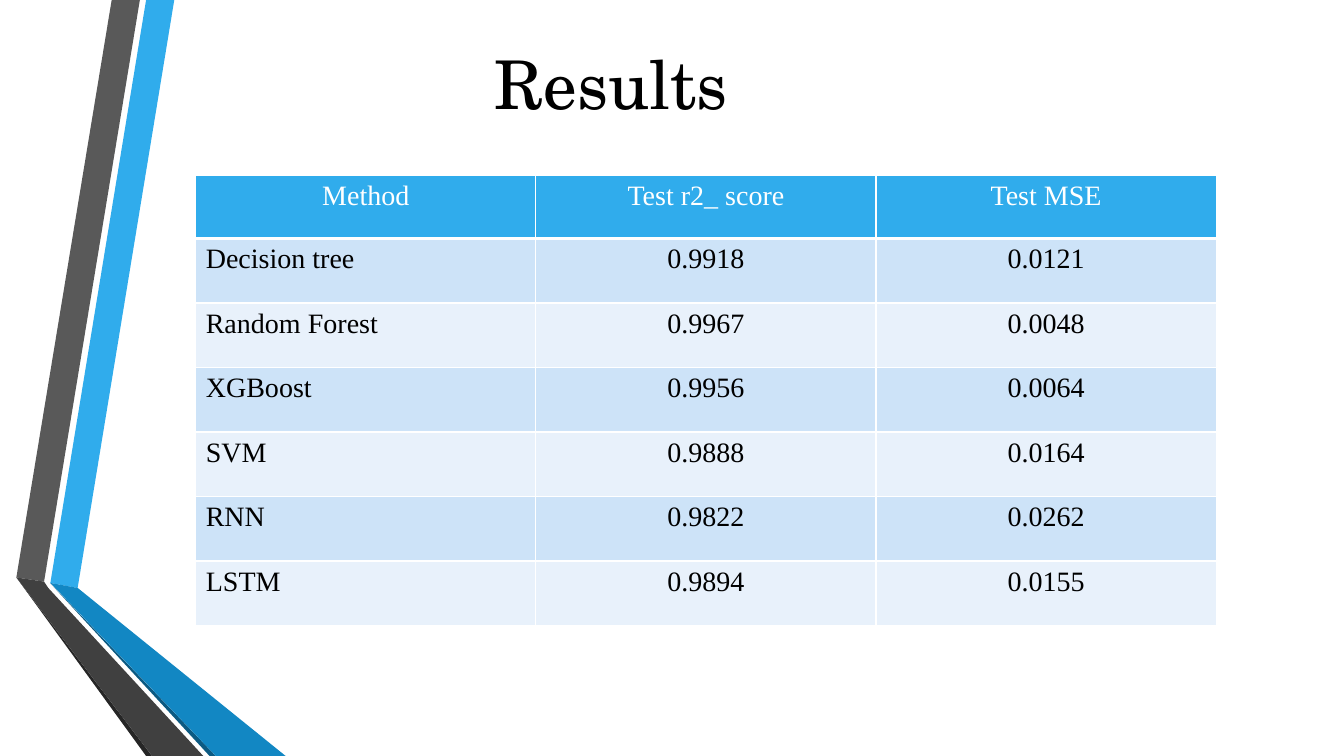
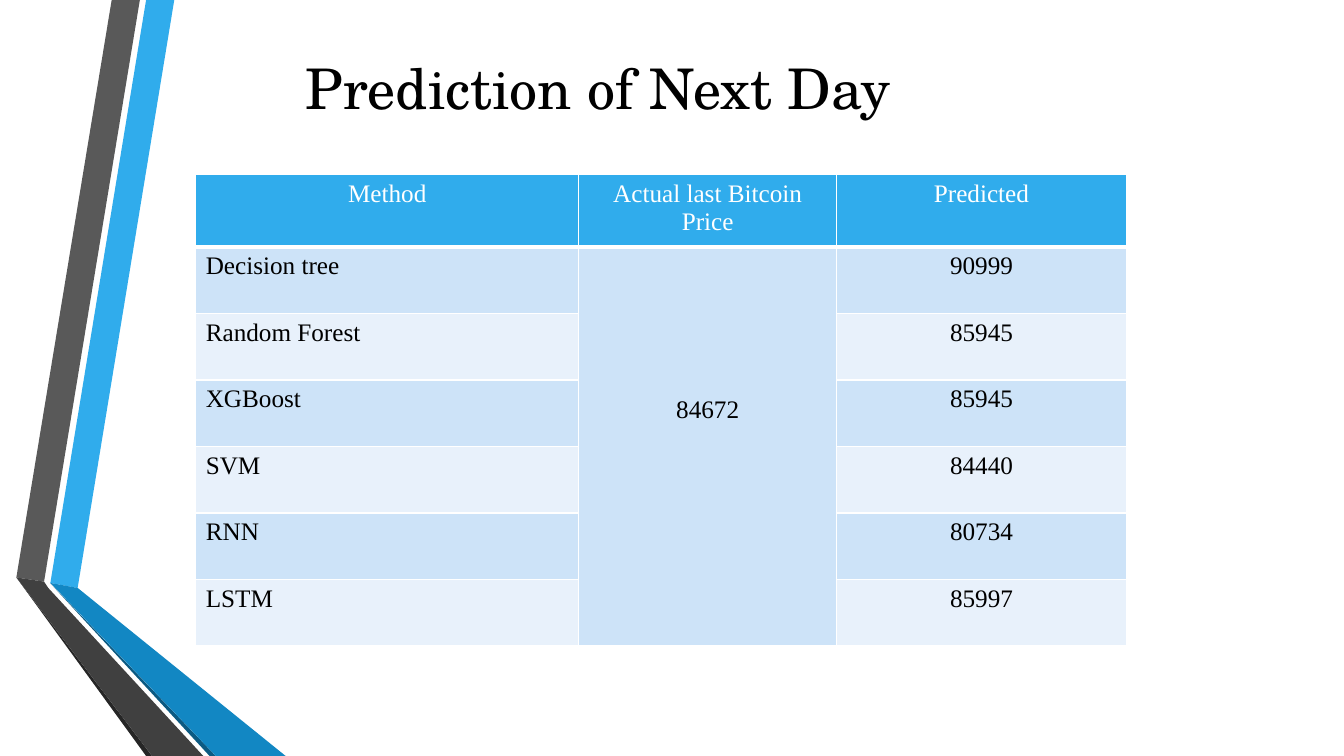
from pptx import Presentation
from pptx.dml.color import RGBColor
from pptx.enum.text import MSO_ANCHOR, MSO_AUTO_SIZE, PP_ALIGN
from pptx.oxml import parse_xml
from pptx.oxml.ns import nsdecls, qn
from pptx.util import Emu, Pt

COLS, ROWS, UNIT = 160, 90, 76200
TITLE_ONLY = 5
LEFT, CENTER = PP_ALIGN.LEFT, PP_ALIGN.CENTER
MIDDLE = MSO_ANCHOR.MIDDLE
NO_AUTOFIT = MSO_AUTO_SIZE.NONE
BANDS = [
    ("30ACEC", [(6, 69.4), (9.25, 70), (20.75, 0), (17.4, 0)]),
    ("595959", [(16.65, 0), (13.3, 0), (1.95, 68.75), (5.25, 69.25)]),
    ("262626", [(1.95, 68.75), (17.4, 90), (18.1, 90)]),
    ("0C5A82", [(6, 69.45), (24.95, 90), (25.7, 90)]),
    ("1287C3", [(6, 69.4), (25.7, 90), (34, 90), (9.25, 70)]),
    ("404040", [(24.2, 90), (5.75, 70), (5.25, 69.25), (1.95, 68.75), (18.1, 90)]),
]
METHODS = ["Decision tree", "Random Forest", "XGBoost", "SVM", "RNN", "LSTM"]


def rgb(color):
    return RGBColor.from_string(color)


def grid(*lengths):
    return [Emu(round(length * UNIT)) for length in lengths]


class Deck:
    title_font, table_font = "TeX Gyre Schola", "Times New Roman"
    ink, paper, accent = "000000", "FFFFFF", "30ACEC"
    stripes = "CDE3F8", "E8F1FB"

    def __init__(self):
        self.prs = Presentation()
        self.prs.slide_width, self.prs.slide_height = grid(COLS, ROWS)
        self.slide = None

    def add_slide(self):
        self.slide = self.prs.slides.add_slide(self.prs.slide_layouts[TITLE_ONLY])

    def add_master_bands(self):
        group = self.slide.shapes.add_group_shape()
        for color, points in BANDS:
            start, *rest = [grid(*point) for point in points]
            builder = group.shapes.build_freeform(*start)
            builder.add_line_segments(rest, close=True)
            sp = builder.convert_to_shape()
            sp.shadow.inherit = False
            sp.fill.solid()
            sp.fill.fore_color.rgb = rgb(color)
            sp.line.fill.background()
        for number, props in enumerate(group.element.iter(qn("p:cNvPr")), 100):
            props.set("id", str(number))
        self.prs.slide_master.shapes.element.insert(2, group.element)

    def style(self, p, font, size, color, align):
        p.alignment = align
        p.font.name, p.font.size = font, Pt(size)
        p.font.color.rgb = rgb(color)

    def add_title(self, text, x, y, size):
        sp = self.slide.shapes.title
        sp.left, sp.top, sp.width, sp.height = grid(x, y, 126, 10.8)
        tf = sp.text_frame
        tf.text = text
        tf.auto_size, tf.vertical_anchor = NO_AUTOFIT, MIDDLE
        self.style(tf.paragraphs[0], self.title_font, size, self.ink, CENTER)

    def add_borders(self, cell, bottom):
        tc_pr = cell._tc.get_or_add_tcPr()
        for i, (side, width) in enumerate(zip("LRTB", (1, 1, 1, bottom))):
            tc_pr.insert(i, parse_xml(
                f'<a:ln{side} {nsdecls("a")} w="{Pt(width)}"><a:solidFill>'
                f'<a:srgbClr val="{self.paper}"/></a:solidFill></a:ln{side}>'))

    def add_table(self, rows, x, y, widths, header_height, row_height, size):
        heights = [header_height] + [row_height] * (len(rows) - 1)
        box = grid(x, y, sum(widths), sum(heights))
        table = self.slide.shapes.add_table(len(rows), len(widths), *box).table
        for column, width in zip(table.columns, grid(*widths)):
            column.width = width
        for row, height in zip(table.rows, grid(*heights)):
            row.height = height
        for r, values in enumerate(rows):
            header = r == 0
            for c, value in enumerate(values):
                cell = table.cell(r, c)
                cell.text = value
                self.style(cell.text_frame.paragraphs[0], self.table_font, size,
                           self.paper if header else self.ink,
                           CENTER if header or c else LEFT)
                cell.fill.solid()
                cell.fill.fore_color.rgb = rgb(
                    self.accent if header else self.stripes[(r - 1) % 2])
                self.add_borders(cell, 3 if header else 1)
        return table


def main():
    deck = Deck()

    deck.add_slide()
    deck.add_master_bands()
    deck.add_title("Results", 9.75, 4.4, 48)
    scores = ["0.9918", "0.9967", "0.9956", "0.9888", "0.9822", "0.9894"]
    errors = ["0.0121", "0.0048", "0.0064", "0.0164", "0.0262", "0.0155"]
    rows = [("Method", "Test r2_ score", "Test MSE"), *zip(METHODS, scores, errors)]
    deck.add_table(rows, 23.3, 20.9, [40.5] * 3, 7.5, 7.68, 20)

    deck.add_slide()
    deck.add_title("Prediction of Next Day", 8.2, 5, 40)
    actual = ["84672"] + [""] * (len(METHODS) - 1)
    predicted = ["90999", "85945", "85945", "84440", "80734", "85997"]
    rows = [("Method", "Actual last Bitcoin Price", "Predicted"),
            *zip(METHODS, actual, predicted)]
    table = deck.add_table(rows, 23.3, 20.8, [45.6, 30.7, 34.5], 8.6, 7.92, 18)
    price = table.cell(1, 1)
    price.merge(table.cell(len(METHODS), 1))
    price.margin_top, = grid(17.7)

    deck.prs.save("out.pptx")


if __name__ == "__main__":
    main()
